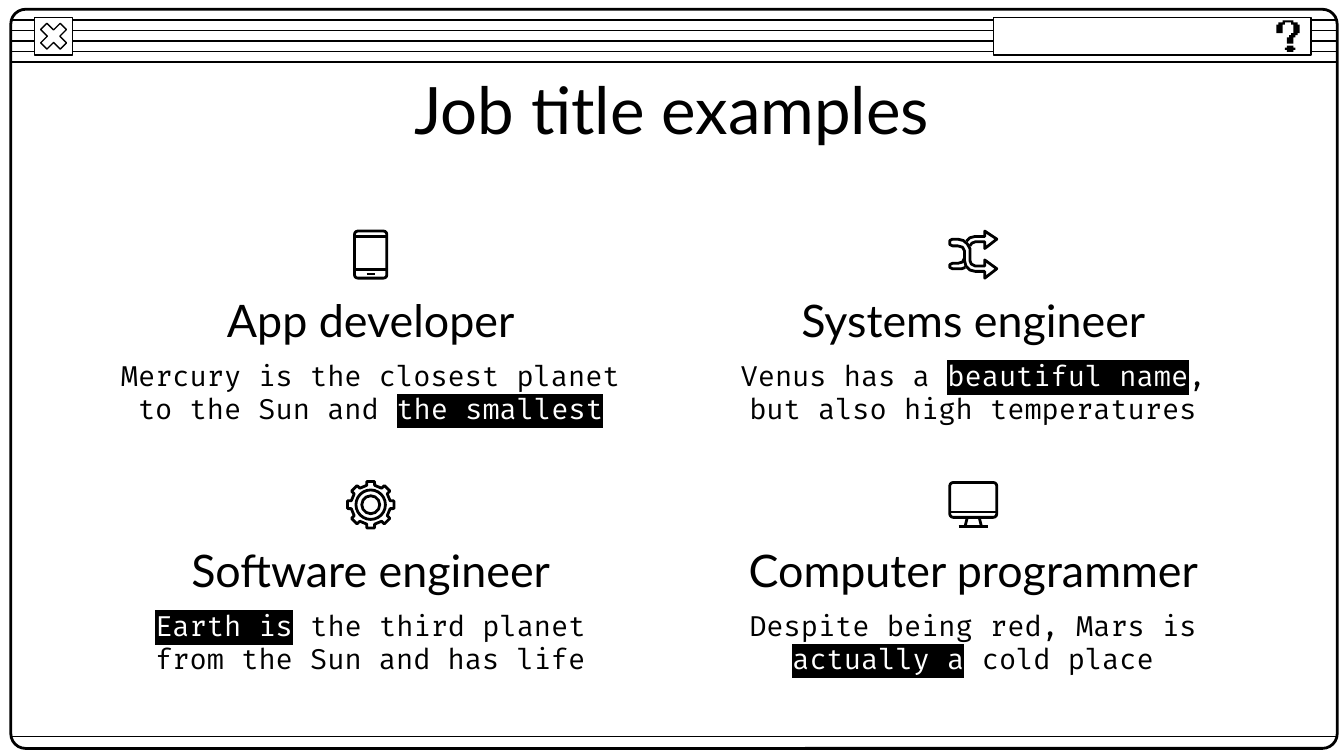
from math import cos, radians, sin

from lxml import etree
from pptx import Presentation
from pptx.dml.color import RGBColor
from pptx.enum import shapes, text
from pptx.oxml import ns
from pptx.util import Pt

BLACK = RGBColor(0, 0, 0)
WHITE = RGBColor(255, 255, 255)
SHAPE = shapes.MSO_SHAPE


class Deck:
    """Holds the style and the current slide; every length is in points."""
    heading_font = "Lato"
    body_font = "Fira Code"
    thin, thick = 0.75, 1.5

    def __init__(self, width, height):
        self.prs = Presentation()
        self.prs.slide_width, self.prs.slide_height = Pt(width), Pt(height)
        self.s = self.prs.slides.add_slide(self.prs.slide_layouts[6])
        self.s.background.fill.solid()
        self.s.background.fill.fore_color.rgb = WHITE

    def paint(self, sp, fill, weight):
        sp.shadow.inherit = False
        if fill is None:
            sp.fill.background()
        else:
            sp.fill.solid()
            sp.fill.fore_color.rgb = fill
        if weight:
            sp.line.color.rgb = BLACK
            sp.line.width = Pt(weight)
        else:
            sp.line.fill.background()

    def shape(self, kind, x, y, w, h, fill=None, weight=thick, adj=None):
        sp = self.s.shapes.add_shape(kind, Pt(x), Pt(y), Pt(w), Pt(h))
        if adj is not None:
            sp.adjustments[0] = adj
        self.paint(sp, fill, weight)

    def line(self, x1, y1, x2, y2, weight=thick):
        c = self.s.shapes.add_connector(
            shapes.MSO_CONNECTOR.STRAIGHT, Pt(x1), Pt(y1), Pt(x2), Pt(y2))
        c.line.color.rgb = BLACK
        c.line.width = Pt(weight)
        etree.SubElement(c._element.spPr, ns.qn("a:effectLst"))

    def outline(self, points, x, y, cell=1, close=True, fill=None, weight=thick):
        """Draw points counted in cells from the corner x, y."""
        pts = [((x + px * cell) * 100, (y + py * cell) * 100) for px, py in points]
        fb = self.s.shapes.build_freeform(*pts[0], scale=Pt(0.01))
        fb.add_line_segments(pts[1:], close=close)
        self.paint(fb.convert_to_shape(), fill, weight)

    def text(self, content, x, y, w, h, size=15, font=body_font):
        """Centred text; parts between asterisks are white on black."""
        tf = self.s.shapes.add_textbox(Pt(x), Pt(y), Pt(w), Pt(h)).text_frame
        tf.word_wrap = True
        tf.vertical_anchor = text.MSO_ANCHOR.MIDDLE
        tf.margin_left = tf.margin_right = tf.margin_top = tf.margin_bottom = Pt(7.2)
        p = tf.paragraphs[0]
        p.alignment = text.PP_ALIGN.CENTER
        for i, part in enumerate(content.split("*")):
            if not part:
                continue
            marked = i % 2 == 1
            r = p.add_run()
            r.text = part
            r.font.size = Pt(size)
            r.font.name = font
            r.font.color.rgb = WHITE if marked else BLACK
            if marked:
                hl = etree.Element(ns.qn("a:highlight"))
                etree.SubElement(hl, ns.qn("a:srgbClr"), val=str(BLACK))
                r.font._element.find(ns.qn("a:solidFill")).addnext(hl)


def draw_phone(d, cx, cy):
    d.shape(SHAPE.ROUNDED_RECTANGLE, cx - 8.65, cy - 12.6, 17.3, 25.2, adj=0.1)
    for dy, half in ((-9.8, 8.65), (8, 8.65), (10.4, 2.2)):
        d.line(cx - half, cy + dy, cx + half, cy + dy)


def draw_shuffle(d, cx, cy):
    long_band = [(3, 7), (7, 7), (11, 8), (14, 10.5), (16, 14), (16, 23), (17, 25.5),
                 (20, 27), (27, 27), (27, 22.5), (36, 29), (27, 36), (27, 31), (20, 31),
                 (16, 30), (13, 27), (12, 23), (12, 16), (10.5, 13), (7, 12), (3, 12),
                 (1, 11), (1, 8)]
    upper_arrow = [(13.5, 8.5), (16, 6), (20, 5), (27, 5), (27, 1), (36, 7), (27, 14),
                   (27, 9), (20, 9), (17.5, 10), (16, 12)]
    lower_tail = [(12.5, 28), (10, 29), (3, 29), (1, 28), (1, 26), (3, 25), (7, 25),
                  (10.5, 24), (12, 21)]
    x, y = cx - 13.3, cy - 13.3
    d.outline(long_band, x, y, 0.72)
    d.outline(upper_arrow, x, y, 0.72, close=False)
    d.outline(lower_tail, x, y, 0.72, close=False)


def draw_gear(d, cx, cy):
    tooth = [(-11.5, 10.6), (-9.5, 12.6), (9.5, 12.6), (11.5, 10.6)]
    rim = [(radius * sin(radians(turn + a)), -radius * cos(radians(turn + a)))
           for turn in range(0, 360, 45) for a, radius in tooth]
    d.outline(rim, cx, cy)
    for radius in (7.9, 4.8):
        d.shape(SHAPE.OVAL, cx - radius, cy - radius, 2 * radius, 2 * radius)


def draw_monitor(d, cx, cy):
    d.shape(SHAPE.ROUNDED_RECTANGLE, cx - 12.6, cy - 11.9, 25.2, 18.7, adj=0.1)
    d.line(cx - 12.6, cy + 3.9, cx + 12.6, cy + 3.9)
    for side in (-1, 1):
        d.line(cx + side * 3.2, cy + 6.8, cx + side * 4.4, cy + 11.8)
    d.line(cx - 7.9, cy + 11.8, cx + 7.9, cy + 11.8)


def main():
    d = Deck(720, 405)
    left, right = 5.8, 716.4

    # Window frame and title bar
    for i in range(5):
        d.line(left, 10.8 + 5.6 * i, right, 10.8 + 5.6 * i, d.thin)
    d.shape(SHAPE.ROUNDED_RECTANGLE, left, 5, right - left, 396, adj=0.02)
    for kind, adj in ((SHAPE.RECTANGLE, None), (SHAPE.MATH_MULTIPLY, 0.235)):
        d.shape(kind, 18.6, 9.3, 20.2, 20.2, WHITE, d.thin, adj)
    d.line(left, 394.6, right, 394.6, d.thin)
    d.shape(SHAPE.RECTANGLE, 532.2, 9.3, 170.2, 20.2, WHITE, d.thin)

    # Pixel question mark
    hook = [(3, 0), (3, 1), (1, 1), (1, 2), (0, 2), (0, 6), (3, 6), (3, 2), (4, 2),
            (4, 1), (7, 1), (7, 2), (8, 2), (8, 6), (7, 6), (7, 7), (6, 7), (6, 8),
            (5, 8), (5, 11), (8, 11), (8, 8), (9, 8), (9, 7), (10, 7), (10, 6),
            (11, 6), (11, 2), (10, 2), (10, 1), (8, 1), (8, 0)]
    dot = [(5, 12), (5, 13), (4, 13), (4, 14), (5, 14), (5, 15), (8, 15), (8, 14),
           (9, 14), (9, 13), (8, 13), (8, 12)]
    for part in (dot, hook):
        d.outline(part, 683.8, 10.9, 1.13, fill=BLACK, weight=0)

    # Title
    d.text("Job title examples", 56.7, 35.3, 606.6, 45.4, size=35, font=d.heading_font)

    # Job cards: icon, heading and description in two columns
    cards = [
        (0, 0, draw_phone, "App developer",
         "Mercury is the closest planet to the Sun and *the smallest*"),
        (1, 0, draw_shuffle, "Systems engineer",
         "Venus has a *beautiful name*, but also high temperatures"),
        (0, 1, draw_gear, "Software engineer",
         "*Earth is* the third planet from the Sun and has life"),
        (1, 1, draw_monitor, "Computer programmer",
         "Despite being red, Mars is *actually a* cold place"),
    ]
    width = 283.8
    for col, row, draw_icon, heading, description in cards:
        x, y = 56.7 + 322.8 * col, 150.4 + 134 * row
        draw_icon(d, x + width / 2, y - 14)
        d.text(heading, x, y, width, 41.8, size=24, font=d.heading_font)
        d.text(description, x, y + 40.4, width, 38.2)

    d.prs.save("out.pptx")


if __name__ == "__main__":
    main()
